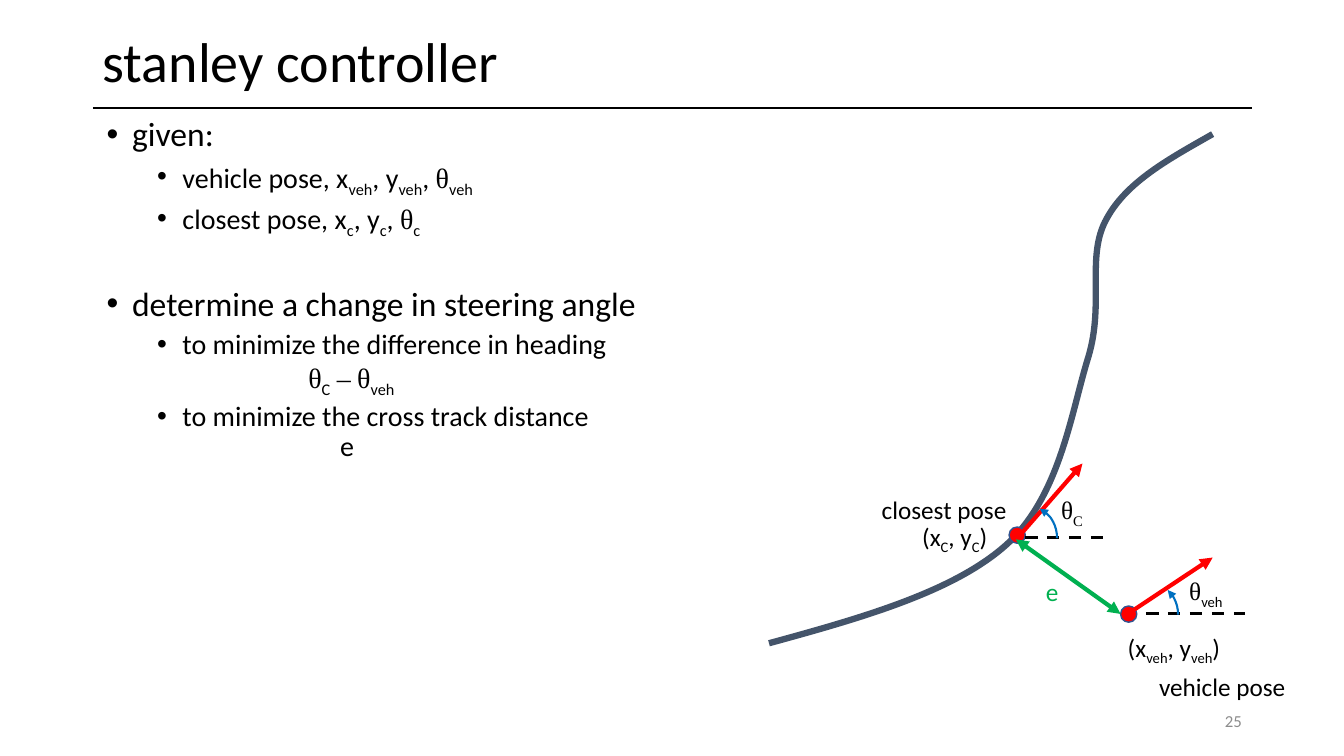
from itertools import groupby

from lxml.etree import SubElement
from pptx import Presentation
from pptx.dml.color import RGBColor
from pptx.enum.dml import MSO_LINE
from pptx.enum.shapes import MSO_CONNECTOR, MSO_SHAPE
from pptx.enum.text import MSO_ANCHOR, PP_ALIGN
from pptx.oxml.ns import qn
from pptx.util import Cm, Pt

BLACK = RGBColor(0x00, 0x00, 0x00)
GRAY = RGBColor(0x8C, 0x8C, 0x8C)
SLATE = RGBColor(0x44, 0x54, 0x6A)
RED = RGBColor(0xFF, 0x00, 0x00)
BLUE = RGBColor(0x00, 0x70, 0xC0)
DOT_EDGE = RGBColor(0x32, 0x54, 0x91)
GREEN = RGBColor(0x00, 0xB0, 0x50)
SANS, SERIF = "Calibri", "Times New Roman"

PATH = [
    (19.38, 16.21),
    (21.72, 15.57), (24.05, 14.91), (25.37, 13.72),
    (26.72, 12.5), (27, 10.36), (27.43, 8.99),
    (27.84, 7.62), (27.36, 6.45), (27.89, 5.51),
    (28.4, 4.57), (29.49, 3.99), (30.56, 3.38),
]

# (text, size, text indent in cm, space before, bulleted)
POINTS = [
    ("given:", 24, 0.64, 0, True),
    ("vehicle pose, x|veh|, y|veh|, θ|veh|", 20, 1.91, 5, True),
    ("closest pose, x|c|, y|c|, θ|c|", 20, 1.91, 5, True),
    ("determine a change in steering angle", 24, 0.64, 36, True),
    ("to minimize the difference in heading", 20, 1.91, 5, True),
    ("θ|C| – θ|veh|", 20, 5.08, 0, False),
    ("to minimize the cross track distance", 20, 1.91, 5, True),
    ("e", 20, 5.88, 0, False),
]

LABELS = [
    ("vehicle pose", 28.96, 16.79, 4.47, {}),
    ("closest pose", 21.97, 12.32, 6.45, {}),
    ("(x|C|, y|C|)", 22.99, 13, 2.24, {"wrap": False}),
    ("(x|veh|, y|veh|)", 28.17, 15.8, 3.02, {"wrap": False}),
    ("θ|veh|", 29.72, 14.38, 1.45, {"wrap": False}),
    ("θ|C|", 26.49, 12.34, 1.12, {"wrap": False, "font": SERIF}),
    ("e", 26.11, 14.4, 1.7, {"color": GREEN}),
]


def write(paragraph, text, size=18, color=BLACK, font=SANS):
    """Write text whose parts between bars are subscripts and whose Greek is serif."""
    for index, part in enumerate(text.split("|")):
        for serif, letters in groupby(part, lambda letter: letter in "θ–"):
            run = paragraph.add_run()
            run.text = "".join(letters)
            run.font.size = Pt(size)
            run.font.name = SERIF if serif else font
            run.font.color.rgb = color
            if index % 2:
                run.font._element.set("baseline", "-25000")


def add_frame(slide, left, top, width, height, anchor=MSO_ANCHOR.TOP, wrap=True):
    """Add an empty text box and return its text frame."""
    frame = slide.shapes.add_textbox(Cm(left), Cm(top), Cm(width), Cm(height)).text_frame
    frame.word_wrap = wrap
    frame.vertical_anchor = anchor
    return frame


def add_label(slide, text, left, top, width, wrap=True, **style):
    """Add a one-line label of the diagram."""
    write(add_frame(slide, left, top, width, 1.02, wrap=wrap).paragraphs[0], text, **style)


def add_points(slide):
    """Add the bulleted list with its indented formulas."""
    frame = add_frame(slide, 2.44, 2.84, 29.21, 14.12)
    for index, (text, size, indent, before, bulleted) in enumerate(POINTS):
        paragraph = frame.add_paragraph() if index else frame.paragraphs[0]
        paragraph.level = 0 if size == 24 else 1
        paragraph.line_spacing = 0.9
        paragraph.space_before = Pt(before)
        properties = paragraph._p.get_or_add_pPr()
        properties.set("marL", str(Cm(indent)))
        properties.set("indent", str(Cm(-0.64) if bulleted else 0))
        if bulleted:
            SubElement(properties, qn("a:buFont")).set("typeface", "Arial")
            SubElement(properties, qn("a:buChar")).set("char", "•")
        write(paragraph, text, size=size)


def style_line(line, color, width, dash=None, ends=()):
    """Set a line's colour, width, dash and arrowheads."""
    line.color.rgb = color
    line.width = Pt(width)
    if dash:
        line.dash_style = dash
    for end in ends:
        SubElement(line._get_or_add_ln(), qn(f"a:{end}")).set("type", "triangle")


def add_line(slide, start, end, color, width, **style):
    """Add a straight line between two points."""
    line = slide.shapes.add_connector(MSO_CONNECTOR.STRAIGHT, *map(Cm, start + end))
    style_line(line.line, color, width, **style)
    SubElement(line._element.spPr, qn("a:effectLst"))


def add_track(slide):
    """Add the path to follow as a chain of cubic curves."""
    points = [(Cm(x), Cm(y)) for x, y in PATH]
    builder = slide.shapes.build_freeform(*points[0])
    builder.add_line_segments(points[1:], close=False)
    track = builder.convert_to_shape()
    track.shadow.inherit = False
    track.fill.background()
    style_line(track.line, SLATE, 4.5)
    outline = next(track._element.iter(qn("a:path")))
    steps = outline.findall(qn("a:lnTo"))
    for first in range(0, len(steps), 3):
        curve = SubElement(outline, qn("a:cubicBezTo"))
        for step in steps[first:first + 3]:
            curve.append(step[0])
            outline.remove(step)


def add_dot(slide, left, top):
    """Add the red dot of a pose."""
    dot = slide.shapes.add_shape(MSO_SHAPE.OVAL, Cm(left), Cm(top), Cm(0.41), Cm(0.41))
    dot.shadow.inherit = False
    dot.fill.solid()
    dot.fill.fore_color.rgb = RED
    style_line(dot.line, DOT_EDGE, 1)


def add_angle(slide, left, top, start):
    """Add the arc that marks a heading angle."""
    angle = slide.shapes.add_shape(MSO_SHAPE.ARC, Cm(left), Cm(top), Cm(1.47), Cm(1.6))
    angle.shadow.inherit = False
    angle.fill.background()
    angle.adjustments[0] = start
    angle.adjustments[1] = 0.47
    style_line(angle.line, BLUE, 1.5, ends=["headEnd"])


def add_pose(slide, dot, heading, baseline, angle):
    """Add a pose: dot, heading arrow, horizontal reference and angle."""
    add_dot(slide, *dot)
    add_line(slide, *heading, RED, 3, ends=["tailEnd"])
    add_line(slide, *baseline, BLACK, 2.25, dash=MSO_LINE.DASH)
    add_angle(slide, *angle)


def main():
    """Build the slide and save it."""
    deck = Presentation()
    deck.slide_width, deck.slide_height = Cm(33.87), Cm(19.05)
    slide = deck.slides.add_slide(deck.slide_layouts[6])

    add_line(slide, (2.34, 2.72), (31.55, 2.72), BLACK, 1)
    title = add_frame(slide, 2.34, 0.58, 29.21, 2.11, anchor=MSO_ANCHOR.MIDDLE).paragraphs[0]
    title.line_spacing = 0.9
    write(title, "stanley controller", size=40)
    add_points(slide)
    number = add_frame(slide, 23.93, 17.65, 7.62, 1.02, anchor=MSO_ANCHOR.MIDDLE).paragraphs[0]
    number.alignment = PP_ALIGN.RIGHT
    write(number, "25", size=12, color=GRAY)

    add_track(slide)
    add_pose(slide, (28.24, 15.27), ((28.42, 15.47), (30.56, 14.05)),
             ((28.88, 15.47), (31.37, 15.47)), (28.22, 14.68, 184.59))
    add_pose(slide, (25.43, 13.28), ((25.7, 13.49), (27.28, 11.68)),
             ((25.83, 13.54), (27.84, 13.54)), (25.17, 12.75, 175.25))
    add_line(slide, (28.24, 15.47), (25.6, 13.59), GREEN, 3, ends=["headEnd", "tailEnd"])
    for text, left, top, width, style in LABELS:
        add_label(slide, text, left, top, width, **style)

    deck.save("out.pptx")


if __name__ == "__main__":
    main()
